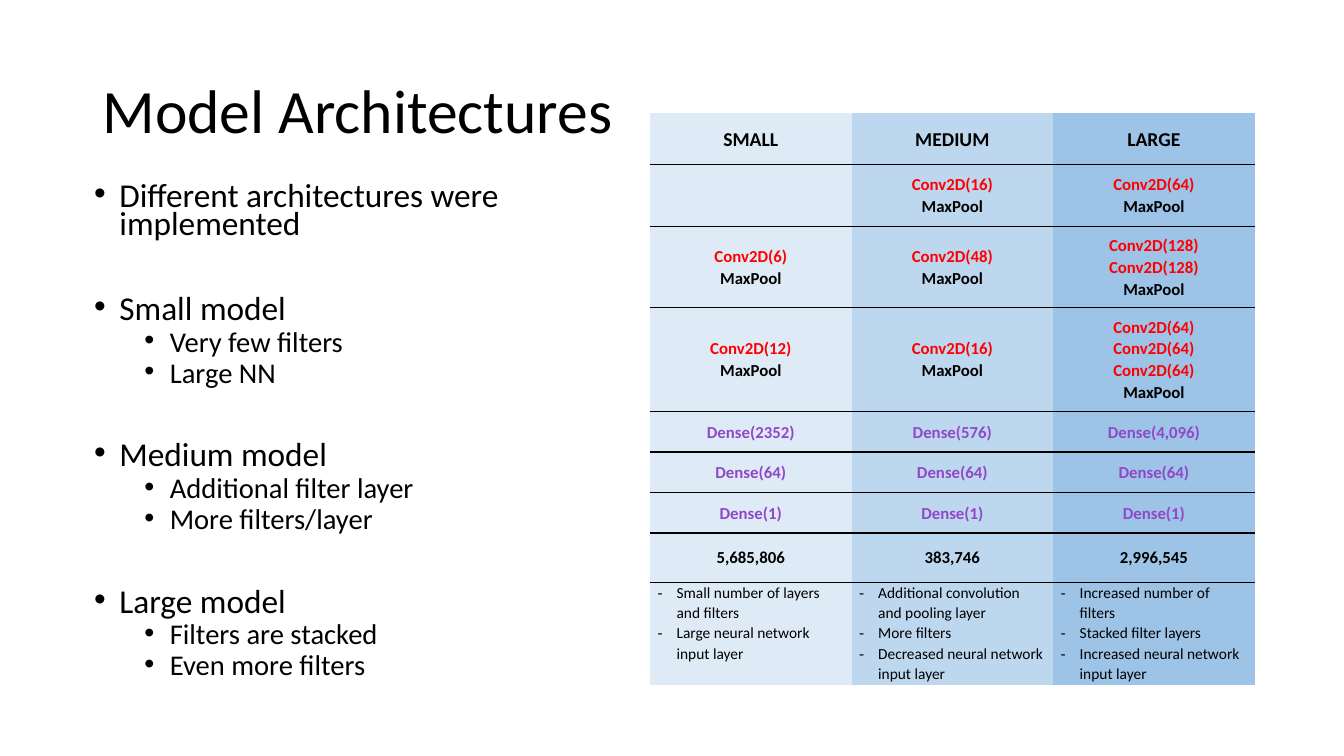
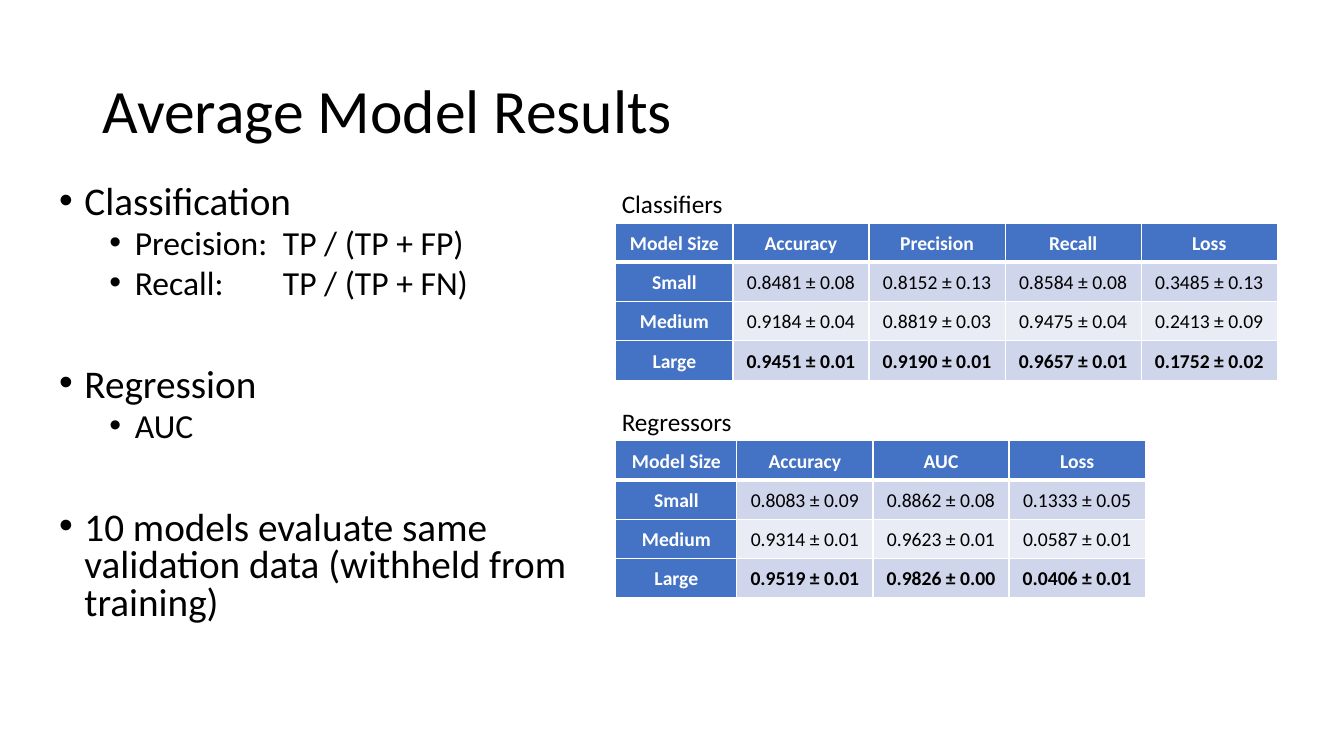
from lxml import etree
from pptx import Presentation
from pptx import util as u
from pptx.dml.color import RGBColor
from pptx.enum import text
from pptx.oxml.ns import qn

FONT = "Calibri"
COLORS = {
    "black": "000000", "white": "FFFFFF", "conv": "FF0000", "dense": "9148C8",
    "small": "DEEBF7", "medium": "BDD7EE", "large": "9DC3E6",
    "header": "4472C4", "band": "CFD5EA", "band_light": "E9EBF5",
}
LEFT, CENTER = text.PP_ALIGN.LEFT, text.PP_ALIGN.CENTER
MIDDLE, TOP = text.MSO_ANCHOR.MIDDLE, text.MSO_ANCHOR.TOP


def write(tf, content, size=18, color="black", bold=False, align=LEFT, spacing=1.0,
          before=0, level=0, bullet=None, margin=0, hang=0, tab=None):
    """Add one formatted paragraph; margin, hang and tab are in cm."""
    p = tf.paragraphs[0]
    if p.runs:
        p = tf.add_paragraph()
    p.alignment, p.level = align, level
    p.line_spacing, p.space_before = spacing, u.Pt(before)
    r = p.add_run()
    r.text = content
    r.font.name, r.font.size, r.font.bold = FONT, u.Pt(size), bold
    r.font.color.rgb = RGBColor.from_string(COLORS[color])
    if bullet:
        pPr = p._p.get_or_add_pPr()
        pPr.set("marL", str(u.Cm(margin)))
        pPr.set("indent", str(-u.Cm(hang)))
        etree.SubElement(pPr, qn("a:buFont"), typeface="Arial")
        etree.SubElement(pPr, qn("a:buChar"), char=bullet)
        if tab:
            tabs = etree.SubElement(pPr, qn("a:tabLst"))
            etree.SubElement(tabs, qn("a:tab"), pos=str(u.Cm(tab)), algn="l")


def style_cell(cell, fill, line, widths, anchor=MIDDLE):
    """Set borders, fill and insets; widths are points for left, right, top, bottom."""
    tcPr = cell._tc.get_or_add_tcPr()
    for side, width in zip("LRTB", widths):
        ln = etree.SubElement(tcPr, qn("a:ln" + side), w=str(u.Pt(width)))
        if width:
            solid = etree.SubElement(ln, qn("a:solidFill"))
            etree.SubElement(solid, qn("a:srgbClr"), val=COLORS[line])
        else:
            etree.SubElement(ln, qn("a:noFill"))
    cell.fill.solid()
    cell.fill.fore_color.rgb = RGBColor.from_string(COLORS[fill])
    cell.margin_left = cell.margin_right = u.Cm(0.19)
    cell.margin_top = cell.margin_bottom = 0
    cell.vertical_anchor = anchor


prs = Presentation()
prs.slide_width, prs.slide_height = u.Cm(33.87), u.Cm(19.05)

# Titles and bullet lists: level-0 text followed by its level-1 points
outlines = [
    dict(title="Model Architectures", box=(2.12, 4.55, 13.55, 13.48),
         sizes=(23.8, 20.4), spacing=0.7, gap=40.3,
         groups=[
             ("Different architectures were implemented", []),
             ("Small model", ["Very few filters", "Large NN"]),
             ("Medium model", ["Additional filter layer", "More filters/layer"]),
             ("Large model", ["Filters are stacked", "Even more filters"])]),
    dict(title="Average Model Results", box=(1.24, 4.55, 13.36, 12.09),
         sizes=(28, 24), spacing=0.8, gap=47.3,
         groups=[
             ("Classification", ["Precision:\tTP / (TP + FP)", "Recall:\tTP / (TP + FN)"]),
             ("Regression", ["AUC"]),
             ("10 models evaluate same validation data (withheld from training)", [])]),
]
slides = []
for o in outlines:
    s = prs.slides.add_slide(prs.slide_layouts[5])
    slides.append(s)
    sp = s.shapes.title
    sp.left, sp.top, sp.width, sp.height = map(u.Cm, (2.33, 1.01, 29.21, 3.68))
    sp.text_frame.vertical_anchor = MIDDLE
    write(sp.text_frame, o["title"], size=44, spacing=0.9)

    tf = s.shapes.add_textbox(*map(u.Cm, o["box"])).text_frame
    tf.word_wrap = True
    for i, (head, points) in enumerate(o["groups"]):
        write(tf, head, size=o["sizes"][0], spacing=o["spacing"],
              before=o["gap"] if i else 10, bullet="•", margin=0.64, hang=0.64)
        for point in points:
            write(tf, point, size=o["sizes"][1], spacing=o["spacing"], before=5, level=1,
                  bullet="•", margin=1.91, hang=0.64, tab=5.64 if "\t" in point else None)

# Architecture table: one column per model, one list of lines per cell
layers = [
    [["SMALL"], ["MEDIUM"], ["LARGE"]],
    [[], ["Conv2D(16)", "MaxPool"], ["Conv2D(64)", "MaxPool"]],
    [["Conv2D(6)", "MaxPool"], ["Conv2D(48)", "MaxPool"],
     ["Conv2D(128)", "Conv2D(128)", "MaxPool"]],
    [["Conv2D(12)", "MaxPool"], ["Conv2D(16)", "MaxPool"],
     ["Conv2D(64)", "Conv2D(64)", "Conv2D(64)", "MaxPool"]],
    [["Dense(2352)"], ["Dense(576)"], ["Dense(4,096)"]],
    [["Dense(64)"]] * 3,
    [["Dense(1)"]] * 3,
    [["5,685,806"], ["383,746"], ["2,996,545"]],
    [["Small number of layers and filters", "Large neural network input layer"],
     ["Additional convolution and pooling layer", "More filters",
      "Decreased neural network input layer"],
     ["Increased number of filters", "Stacked filter layers",
      "Increased neural network input layer"]],
]
heights = [1.3, 1.55, 2.05, 2.62, 1.02, 1.02, 1.02, 1.24, 2.59]
last = len(layers) - 1
table = slides[0].shapes.add_table(
    len(layers), 3, *map(u.Cm, (16.38, 2.85, 15.24, sum(heights)))).table
for i, row in enumerate(layers):
    table.rows[i].height = u.Cm(heights[i])
    for j, (model, lines) in enumerate(zip(("small", "medium", "large"), row)):
        cell = table.cell(i, j)
        style_cell(cell, model, "black", (0, 0, int(i > 0), int(i < last)),
                   anchor=TOP if i == last else MIDDLE)
        for line in lines:
            if i == last:
                write(cell.text_frame, line, size=11, spacing=1.07,
                      bullet="-", margin=0.48, hang=0.48)
            else:
                color = ("conv" if line.startswith("Conv") else
                         "dense" if line.startswith("Dense") else "black")
                write(cell.text_frame, line, size=12 if i else 14, color=color,
                      bold=True, align=CENTER, spacing=1.07)

# Result tables, each under its caption
results = [
    ("Classifiers", 4.62, 2.95, [
        ["Model Size", "Accuracy", "Precision", "Recall", "Loss"],
        ["Small", "0.8481 ± 0.08", "0.8152 ± 0.13", "0.8584 ± 0.08", "0.3485 ± 0.13"],
        ["Medium", "0.9184 ± 0.04", "0.8819 ± 0.03", "0.9475 ± 0.04", "0.2413 ± 0.09"],
        ["Large", "0.9451 ± 0.01", "0.9190 ± 0.01", "0.9657 ± 0.01", "0.1752 ± 0.02"]]),
    ("Regressors", 10.11, 3.05, [
        ["Model Size", "Accuracy", "AUC", "Loss"],
        ["Small", "0.8083 ± 0.09", "0.8862 ± 0.08", "0.1333 ± 0.05"],
        ["Medium", "0.9314 ± 0.01", "0.9623 ± 0.01", "0.0587 ± 0.01"],
        ["Large", "0.9519 ± 0.01", "0.9826 ± 0.00", "0.0406 ± 0.01"]]),
]
row_height, value_width = 0.99, 3.43
for caption, top, first_width, rows in results:
    tf = slides[1].shapes.add_textbox(*map(u.Cm, (15.42, top, 5.54, 1.02))).text_frame
    tf.word_wrap = True
    write(tf, caption)

    widths = [first_width] + [value_width] * (len(rows[0]) - 1)
    table = slides[1].shapes.add_table(
        len(rows), len(widths),
        *map(u.Cm, (15.52, top + 1, sum(widths), row_height * len(rows)))).table
    for j, width in enumerate(widths):
        table.columns[j].width = u.Cm(width)
    for i, row in enumerate(rows):
        table.rows[i].height = u.Cm(row_height)
        for j, value in enumerate(row):
            header = i == 0 or j == 0
            fill = "header" if header else "band" if i % 2 else "band_light"
            cell = table.cell(i, j)
            style_cell(cell, fill, "white", (1, 1, 3 if i == 1 else 1, 1 if i else 3))
            write(cell.text_frame, value, size=14, color="white" if header else "black",
                  bold=header or row[0] == "Large", align=CENTER, spacing=1.07)

prs.save("out.pptx")
